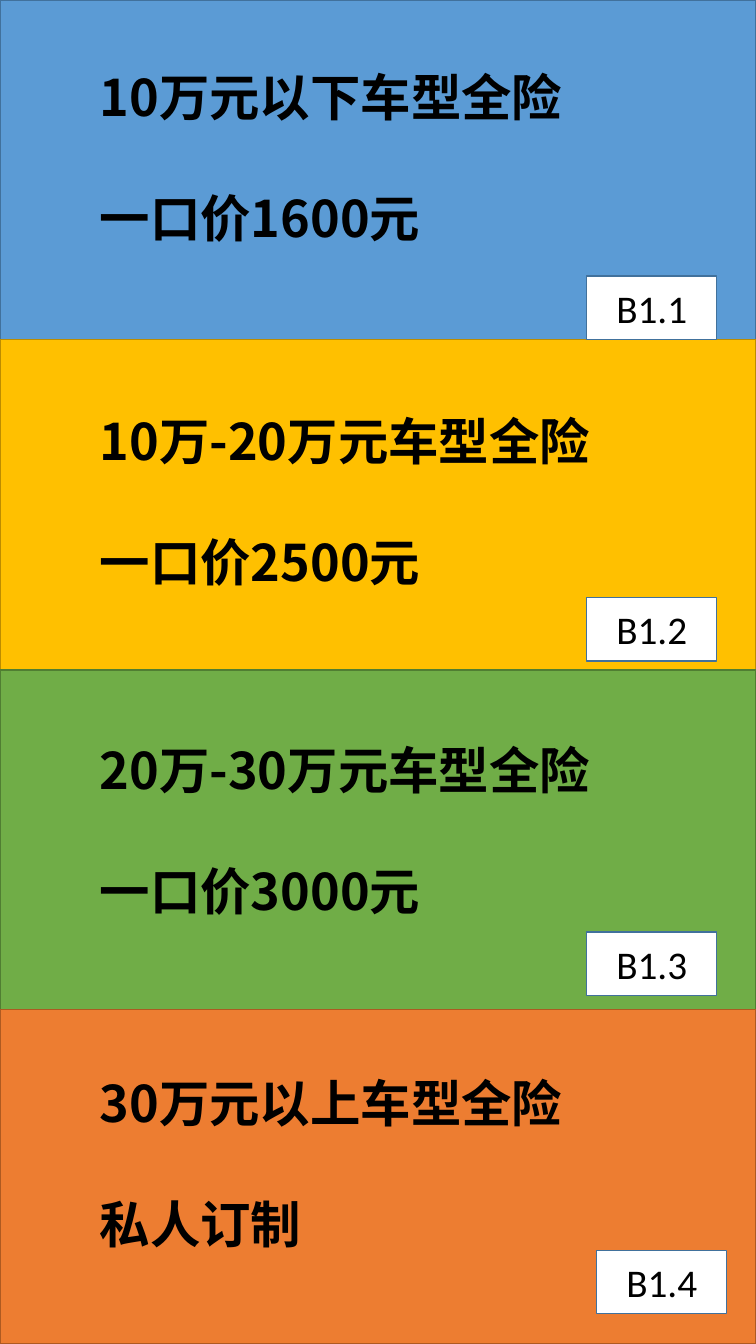
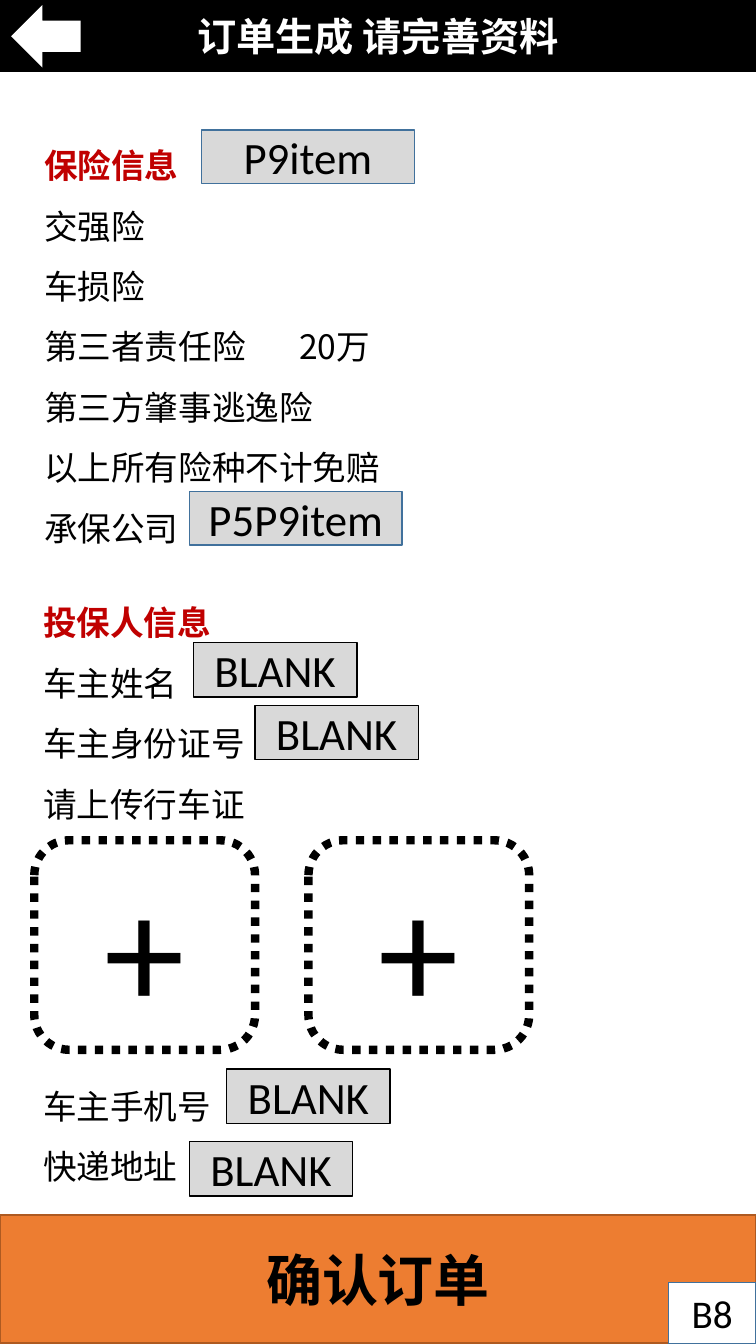
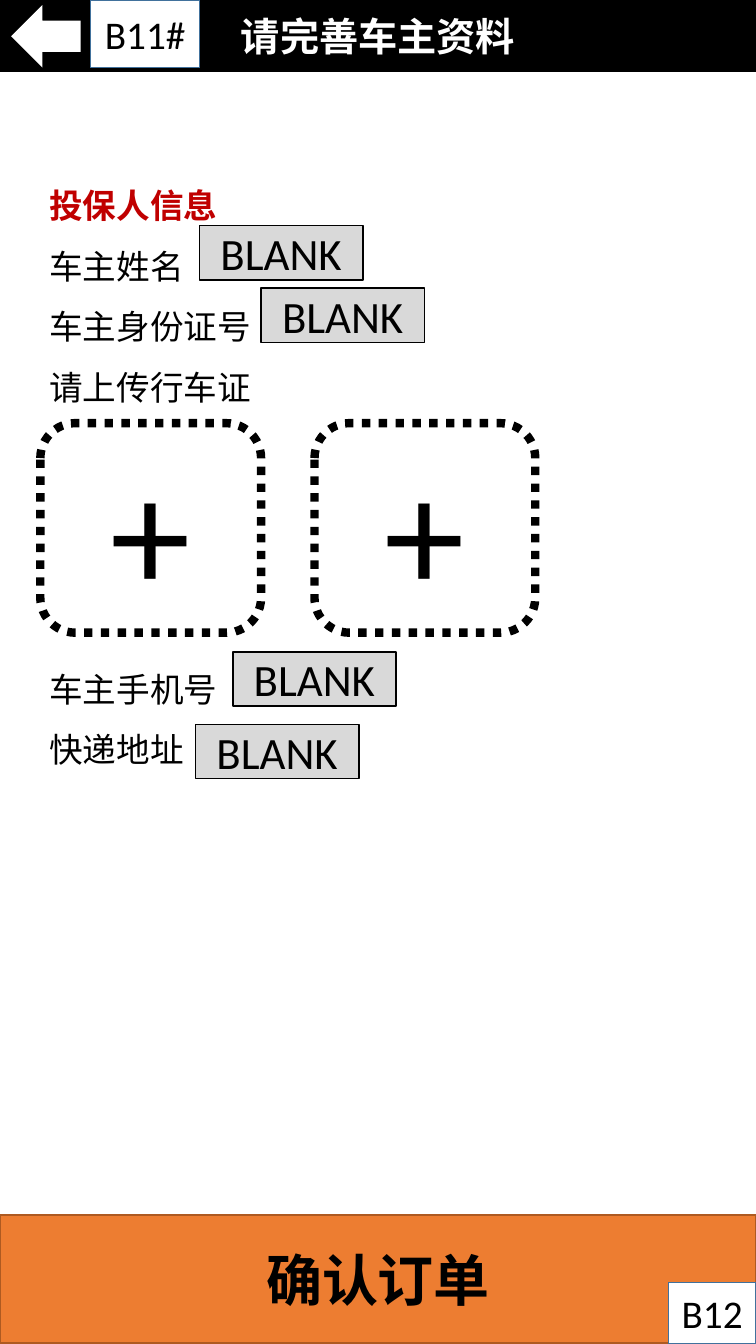
"""Builds three phone screens of a car insurance order flow."""
from lxml.etree import SubElement
from pptx import Presentation
from pptx.dml.color import RGBColor
from pptx.enum.dml import MSO_LINE
from pptx.enum.shapes import MSO_SHAPE
from pptx.enum.text import MSO_ANCHOR, PP_ALIGN
from pptx.oxml.ns import qn
from pptx.util import Emu, Pt

PX = 9144
WIDTH, HEIGHT = 750, 1334

BLACK = RGBColor(0x00, 0x00, 0x00)
WHITE = RGBColor(0xFF, 0xFF, 0xFF)
GREY = RGBColor(0xD9, 0xD9, 0xD9)
RED = RGBColor(0xC0, 0x00, 0x00)
BLUE = RGBColor(0x5B, 0x9B, 0xD5)
GOLD = RGBColor(0xFF, 0xC0, 0x00)
GREEN = RGBColor(0x70, 0xAD, 0x47)
ORANGE = RGBColor(0xED, 0x7D, 0x31)
BLUE_EDGE = RGBColor(0x41, 0x71, 0x9C)
GOLD_EDGE = RGBColor(0xBC, 0x8C, 0x00)
GREEN_EDGE = RGBColor(0x50, 0x7E, 0x32)
ORANGE_EDGE = RGBColor(0xAE, 0x5A, 0x21)

LATIN, CHINESE = "Calibri", "Noto Sans CJK SC"
LINE_PITCH = 43.2

OFFER = {"name": CHINESE, "size": Pt(36), "bold": True}
TITLE = {"name": CHINESE, "size": Pt(28), "bold": True}
CONFIRM = {"name": CHINESE, "size": Pt(40), "bold": True}
HEADING = {"name": CHINESE, "size": Pt(24), "bold": True}
BODY = {"name": CHINESE, "size": Pt(24), "bold": False}
TAG = {"name": LATIN, "size": Pt(28)}
FIELD = {"name": LATIN, "size": Pt(32)}
PLUS = {"name": LATIN, "size": Pt(115)}

BANDS = [
    (0, 337, BLUE, BLUE_EDGE),
    (337, 332, GOLD, GOLD_EDGE),
    (665, 337, GREEN, GREEN_EDGE),
    (1002, 332, ORANGE, ORANGE_EDGE),
]
OFFERS = [
    ("10万元以下车型全险", "一口价1600元", 61, 190, "B1.1", 582, 274),
    ("10万-20万元车型全险", "一口价2500元", 402, 250, "B1.2", 582, 593),
    ("20万-30万元车型全险", "一口价3000元", 729, 250, "B1.3", 582, 925),
    ("30万元以上车型全险", "私人订制", 1059, 190, "B1.4", 592, 1241),
]
INSURANCE_LINES = [
    "保险信息", "交强险", "车损险", "第三者责任险\t20万",
    "第三方肇事逃逸险", "以上所有险种不计免赔", "承保公司",
]
INSURANCE_FIELDS = [("P9item", 200, 129), ("P5P9item", 188, 488)]
AMOUNT_TAB = 253
OWNER_LINES = [
    "投保人信息", "车主姓名", "车主身份证号", "请上传行车证",
    "车主手机号", "快递地址",
]
UPLOAD_GAP = {4: 4 * LINE_PITCH}
OWNER_FIELDS = [(159, 65), (220, 127), (192, 488), (155, 560)]
UPLOADS = [(1, 261), (273, 261)]


def px(*lengths):
    """Turn px lengths into EMU."""
    return [Emu(length * PX) for length in lengths]


def write(paragraph, text, style, color):
    """Add one formatted run to a paragraph."""
    run = paragraph.add_run()
    run.text = text
    for key, value in style.items():
        setattr(run.font, key, value)
    run.font.color.rgb = color
    properties = run._r.get_or_add_rPr()
    SubElement(properties, qn("a:ea")).set("typeface", style["name"])


def add_box(slide, box, fill=None, edge=None, text="", style=None,
            color=BLACK, kind=MSO_SHAPE.RECTANGLE, weight=1):
    """Add a preset shape with optional centred text."""
    shape = slide.shapes.add_shape(kind, *px(*box))
    shape.shadow.inherit = False
    for format_fill, shade in ((shape.fill, fill), (shape.line.fill, edge)):
        if shade is None:
            format_fill.background()
        else:
            format_fill.solid()
            format_fill.fore_color.rgb = shade
    if edge is not None:
        shape.line.width = Pt(weight)
    if text:
        shape.text_frame.vertical_anchor = MSO_ANCHOR.MIDDLE
        paragraph = shape.text_frame.paragraphs[0]
        paragraph.alignment = PP_ALIGN.CENTER
        write(paragraph, text, style, color)
    return shape


def add_lines(slide, box, lines, gaps):
    """Add a text box of (text, style, color) lines; gaps maps index to points."""
    frame = slide.shapes.add_textbox(*px(*box)).text_frame
    frame.word_wrap = True
    for index, (text, style, color) in enumerate(lines):
        paragraph = frame.add_paragraph() if index else frame.paragraphs[0]
        paragraph.line_spacing = Pt(LINE_PITCH)
        if index in gaps:
            paragraph.space_before = Pt(gaps[index])
        if "\t" in text:
            tabs = SubElement(paragraph._p.get_or_add_pPr(), qn("a:tabLst"))
            tab = SubElement(tabs, qn("a:tab"))
            tab.set("pos", str(AMOUNT_TAB * PX))
            tab.set("algn", "l")
        write(paragraph, text, style, color)


def add_section(slide, box, lines, gaps):
    """Add a red heading followed by plain lines."""
    heading, *body = lines
    styled = [(heading, HEADING, RED)] + [(line, BODY, BLACK) for line in body]
    add_lines(slide, box, styled, gaps)


def add_tag(slide, box, text):
    """Add a white label that names a button."""
    add_box(slide, box, WHITE, BLUE_EDGE, text, TAG)


def add_frame(slide, title, tag):
    """Add the title bar, back arrow, confirm button and its tag."""
    add_box(slide, (0, 0, WIDTH, 71), BLACK, BLACK, title, TITLE, WHITE)
    add_box(slide, (11, 5, 69, 62), WHITE, kind=MSO_SHAPE.LEFT_ARROW)
    add_box(slide, (0, 1206, WIDTH, 127), ORANGE, ORANGE_EDGE, "确认订单", CONFIRM)
    add_tag(slide, (663, 1273, 87, 61), tag)


def add_owner_form(slide, left, top):
    """Add the owner section with its fields and upload frames."""
    add_section(slide, (left, top, 624, 670), OWNER_LINES, UPLOAD_GAP)
    for x, y in OWNER_FIELDS:
        add_box(slide, (left + x, top + y, 162, 54), GREY, BLACK, "BLANK", FIELD)
    for x, y in UPLOADS:
        frame = add_box(slide, (left + x, top + y, 219, 208), None, BLACK, "+",
                        PLUS, kind=MSO_SHAPE.ROUNDED_RECTANGLE, weight=6)
        frame.line.dash_style = MSO_LINE.ROUND_DOT


def build_offers(slide):
    """Build the price list."""
    for top, height, fill, edge in BANDS:
        add_box(slide, (0, top, WIDTH, height), fill, edge)
    for name, price, top, height, tag, tag_left, tag_top in OFFERS:
        lines = [(name, OFFER, BLACK), (price, OFFER, BLACK)]
        add_lines(slide, (89, top, 534, height), lines, {1: LINE_PITCH})
        add_tag(slide, (tag_left, tag_top, 129, 63), tag)


def build_order(slide):
    """Build the order form."""
    add_frame(slide, "订单生成 请完善资料", "B8")
    add_section(slide, (34, 119, 624, 430), INSURANCE_LINES, {})
    for text, left, top in INSURANCE_FIELDS:
        add_box(slide, (left, top, 211, 53), GREY, BLUE_EDGE, text, FIELD)
    add_owner_form(slide, 33, 573)


def build_owner(slide):
    """Build the owner details form."""
    add_frame(slide, "请完善车主资料", "B12")
    add_owner_form(slide, 39, 159)
    add_tag(slide, (90, 0, 108, 67), "B11#")


def main():
    """Build and save the presentation."""
    presentation = Presentation()
    presentation.slide_width, presentation.slide_height = px(WIDTH, HEIGHT)
    for build in (build_offers, build_order, build_owner):
        build(presentation.slides.add_slide(presentation.slide_layouts[6]))
    presentation.save("out.pptx")


if __name__ == "__main__":
    main()
